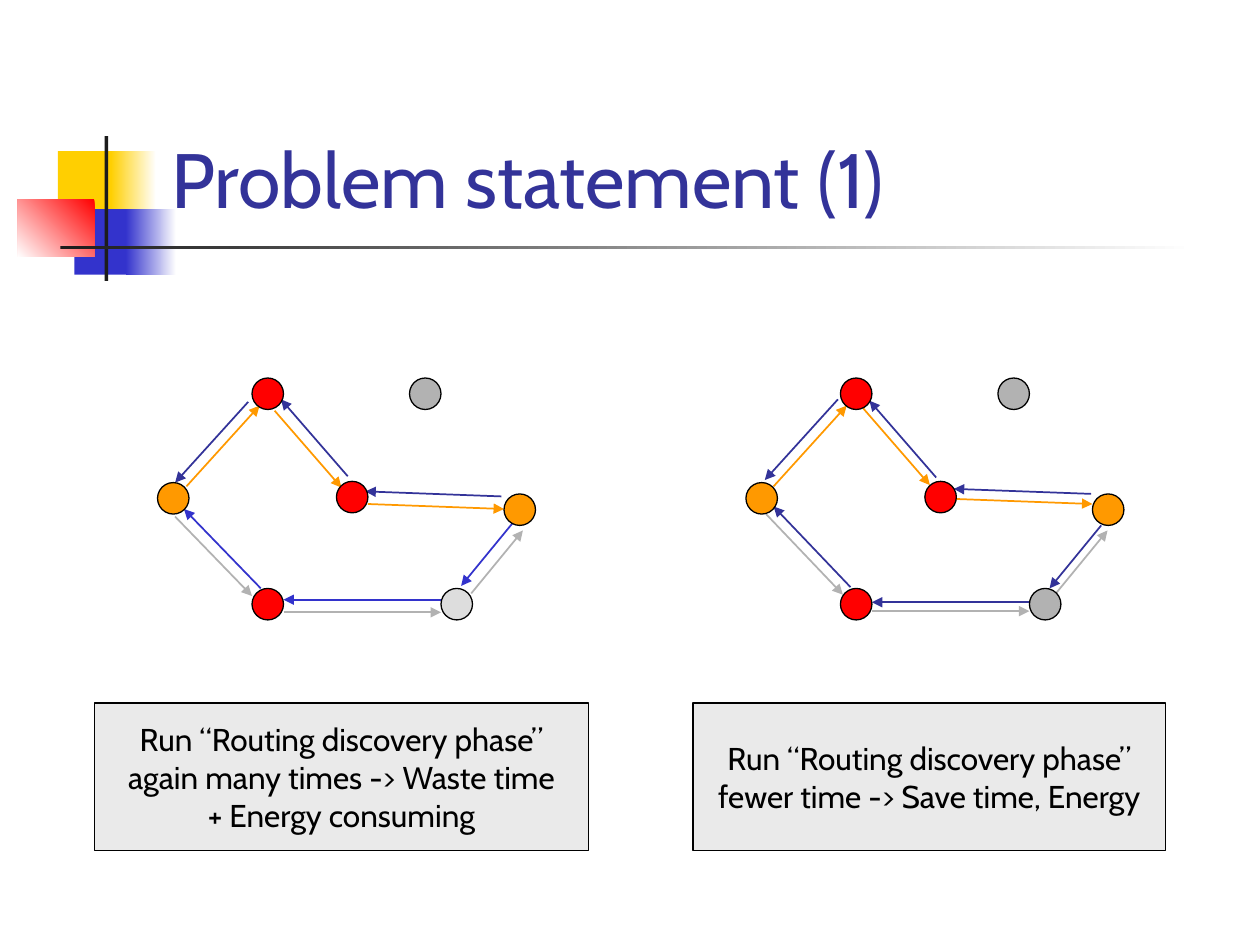
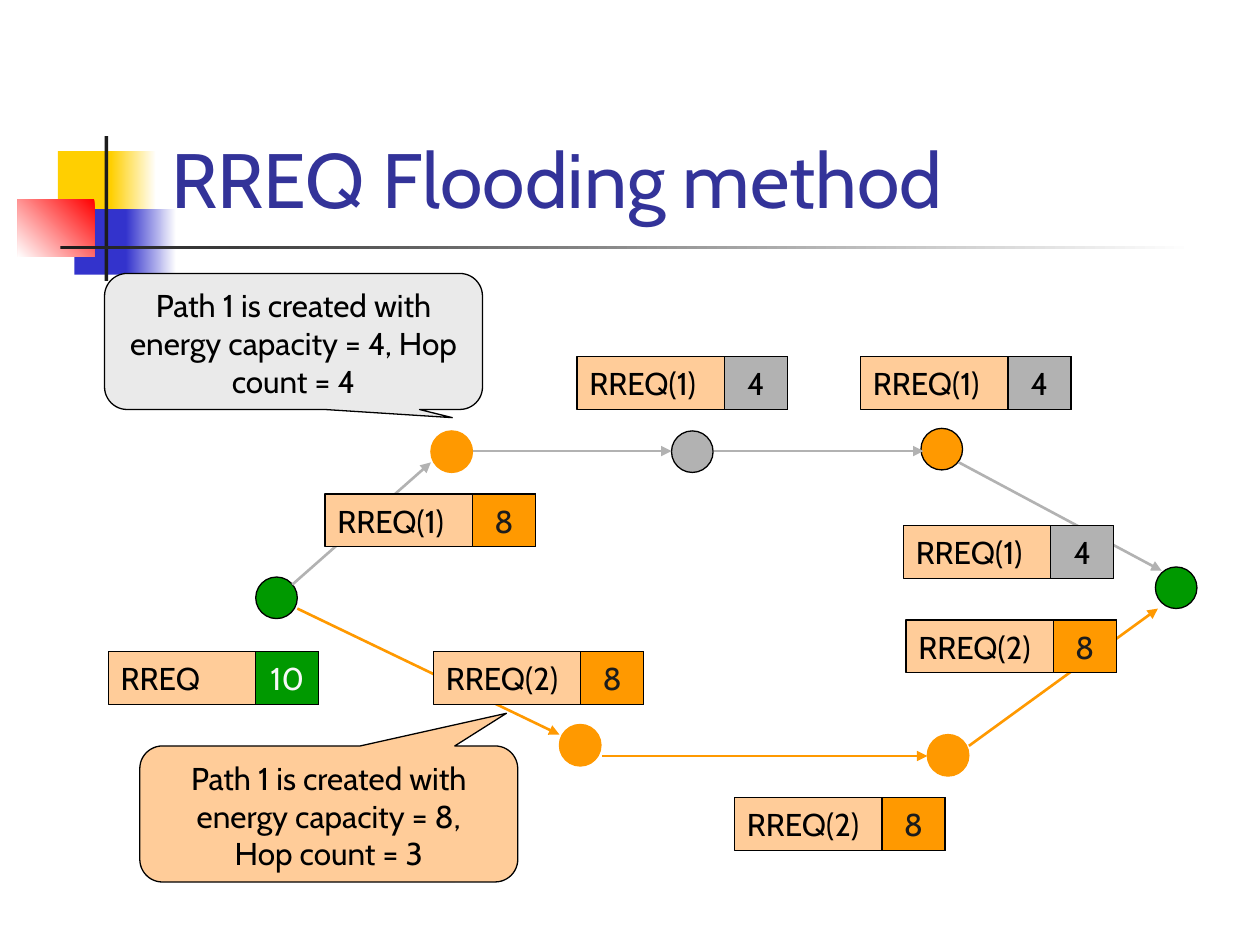
from dataclasses import dataclass

from lxml import etree
from pptx import Presentation
from pptx import util as u
from pptx.dml import color
from pptx.enum import shapes, text
from pptx.oxml import ns

EMU_PER_PX = 9144  # 100 px to the inch


@dataclass(frozen=True)
class Theme:
    font: str = "Cabin"
    title_size: int = 44
    body_size: int = 18
    outline_width: float = 0.75
    navy: str = "333399"
    blue: str = "3333CC"
    yellow: str = "FFCF01"
    red: str = "FF0000"
    orange: str = "FF9900"
    peach: str = "FFCC99"
    green: str = "009900"
    gray: str = "B2B2B2"
    silver: str = "DDDDDD"
    pale: str = "EAEAEA"
    ink: str = "1C1C1C"
    black: str = "000000"
    white: str = "FFFFFF"
    off_white: str = "F8F8F8"


THEME = Theme()
KIND = shapes.MSO_SHAPE
LEFT, CENTER = text.PP_ALIGN.LEFT, text.PP_ALIGN.CENTER
TOP, MIDDLE, BOTTOM = (text.MSO_ANCHOR.TOP, text.MSO_ANCHOR.MIDDLE,
                       text.MSO_ANCHOR.BOTTOM)

# Network of the problem statement: left, top, fill
NETWORK_NODES = [
    (325, 300, THEME.gray),
    (200, 467, THEME.red),
    (125, 383, THEME.orange),
    (200, 300, THEME.red),
    (267, 382, THEME.red),
    (400, 392, THEME.orange),
]
DETOUR_NODE = (350, 467)

# Request hop from x, y to x, y; offset of the parallel reply; request colour
REPEATED_HOPS = [
    (148, 386, 206, 322, -9, -3, THEME.orange),
    (218, 326, 271, 387, 5, -9, THEME.orange),
    (292, 400, 400, 404, -2, -10, THEME.orange),
    (139, 410, 200, 473, 7, -6, THEME.gray),
    (225, 486, 350, 486, 0, -10, THEME.gray),
    (374, 471, 415, 421, -8, -6, THEME.gray),
]
FEWER_HOPS = [
    (614, 386, 672, 322, -7, -5, THEME.orange),
    (685, 324, 738, 385, 5, -6, THEME.orange),
    (758, 396, 867, 400, -1, -8, THEME.orange),
    (608, 408, 669, 472, 6, -6, THEME.gray),
    (692, 485, 817, 485, 0, -7, THEME.gray),
    (838, 471, 879, 421, -5, -4, THEME.gray),
]

# Flooding: nodes are left, top, fill, outline
FLOODING_NODES = [
    (203, 458, THEME.green, THEME.black),
    (342, 342, THEME.orange, THEME.orange),
    (533, 342, THEME.gray, THEME.black),
    (731, 340, THEME.orange, THEME.black),
    (917, 450, THEME.green, THEME.black),
    (444, 575, THEME.orange, THEME.orange),
    (736, 583, THEME.orange, THEME.orange),
]
FLOODING_LINKS = {
    THEME.orange: [(236, 483, 444, 583), (478, 600, 736, 600),
                   (769, 592, 919, 483)],
    THEME.gray: [(232, 464, 342, 367), (375, 358, 533, 358),
                 (567, 358, 733, 358), (761, 367, 922, 453)],
}
REQUEST_TAGS = [
    (86, 517, "RREQ", "10"),
    (258, 392, "RREQ(1)", "8"),
    (458, 283, "RREQ(1)", "4"),
    (683, 283, "RREQ(1)", "4"),
    (717, 417, "RREQ(1)", "4"),
    (344, 517, "RREQ(2)", "8"),
    (583, 633, "RREQ(2)", "8"),
    (719, 492, "RREQ(2)", "8"),
]
ENERGY_COLOURS = {  # energy: cell fill, text colour
    "10": (THEME.green, THEME.off_white),
    "8": (THEME.orange, THEME.ink),
    "4": (THEME.gray, THEME.black),
}


def px(*lengths):
    return [u.Emu(length * EMU_PER_PX) for length in lengths]


def rgb(value):
    return color.RGBColor.from_string(value)


def add_block(slide, kind, box, fill, outline=None):
    shape = slide.shapes.add_shape(kind, *px(*box))
    shape.shadow.inherit = False
    shape.fill.solid()
    shape.fill.fore_color.rgb = rgb(fill)
    if outline:
        shape.line.color.rgb = rgb(outline)
        shape.line.width = u.Pt(THEME.outline_width)
    else:
        shape.line.fill.background()
    return shape


def add_fade(slide, box, colour, angle=0):
    """Rectangle that fades from the colour to white."""
    shape = add_block(slide, KIND.RECTANGLE, box, colour)
    shape.fill.gradient()
    shape.fill.gradient_angle = angle
    for stop, value in zip(shape.fill.gradient_stops, (colour, THEME.white)):
        stop.color.rgb = rgb(value)


def write(shape, words, size=THEME.body_size, colour=THEME.black,
          align=CENTER, anchor=MIDDLE):
    frame = shape.text_frame
    frame.text = words
    frame.word_wrap = True
    frame.vertical_anchor = anchor
    for paragraph in frame.paragraphs:
        paragraph.alignment = align
        for run in paragraph.runs:
            run.font.name = THEME.font
            run.font.size = u.Pt(size)
            run.font.color.rgb = rgb(colour)


def add_arrow(slide, ends, colour, width):
    connector = slide.shapes.add_connector(
        shapes.MSO_CONNECTOR.STRAIGHT, *px(*ends))
    connector.line.color.rgb = rgb(colour)
    connector.line.width = u.Pt(width)
    properties = connector.element.spPr
    line = properties.find(ns.qn("a:ln"))
    etree.SubElement(line, ns.qn("a:tailEnd"), type="triangle")
    etree.SubElement(properties, ns.qn("a:effectLst"))


def add_node(slide, left, top, diameter, fill, outline=THEME.black):
    add_block(slide, KIND.OVAL, (left, top, diameter, diameter), fill, outline)


def add_titled_slide(presentation, title):
    slide = presentation.slides.add_slide(presentation.slide_layouts[6])
    add_block(slide, KIND.RECTANGLE, (46, 120, 48, 52), THEME.yellow)
    add_fade(slide, (88, 120, 36, 52), THEME.yellow)
    add_block(slide, KIND.RECTANGLE, (59, 166, 46, 52), THEME.blue)
    add_fade(slide, (100, 166, 40, 52), THEME.blue)
    add_fade(slide, (14, 158, 61, 46), THEME.red, angle=225)
    add_block(slide, KIND.RECTANGLE, (83, 108, 3, 115), THEME.ink)
    add_fade(slide, (48, 195, 900, 3), THEME.ink)
    box = slide.shapes.add_textbox(*px(126, 23, 852, 160))
    write(box, title, THEME.title_size, THEME.navy, LEFT, BOTTOM)
    return slide


def add_network(slide, shift, hops, detour_fill, detour_reply):
    for x1, y1, x2, y2, dx, dy, request in hops:
        reply = THEME.navy if request == THEME.orange else detour_reply
        add_arrow(slide, (x1, y1, x2, y2), request, 1)
        add_arrow(slide, (x2 + dx, y2 + dy, x1 + dx, y1 + dy), reply, 1)
    for left, top, fill in NETWORK_NODES + [(*DETOUR_NODE, detour_fill)]:
        add_node(slide, left + shift, top, 25, fill)


def add_summary(slide, left, width, words):
    box = (left, 558, width, 117)
    write(add_block(slide, KIND.RECTANGLE, box, THEME.pale, THEME.black), words)


def add_callout(slide, left, top, fill, tip, words):
    shape = add_block(slide, KIND.ROUNDED_RECTANGULAR_CALLOUT,
                      (left, top, 300, 108), fill, THEME.black)
    shape.adjustments[0], shape.adjustments[1] = tip
    write(shape, words, anchor=TOP)


def add_request_tag(slide, left, top, name, energy):
    fill, colour = ENERGY_COLOURS[energy]
    label = add_block(slide, KIND.RECTANGLE, (left, top, 167, 42),
                      THEME.peach, THEME.black)
    write(label, name, align=LEFT)
    cell = add_block(slide, KIND.RECTANGLE, (left + 117, top, 50, 42),
                     fill, THEME.black)
    write(cell, energy, colour=colour)


def build_problem_statement(presentation):
    slide = add_titled_slide(presentation, "Problem statement (1)")
    add_network(slide, 0, REPEATED_HOPS, THEME.silver, THEME.blue)
    add_network(slide, 467, FEWER_HOPS, THEME.gray, THEME.navy)
    add_summary(slide, 75, 392, "Run “Routing discovery phase”\n"
                "again many times -> Waste time\n+ Energy consuming")
    add_summary(slide, 550, 375, "Run “Routing discovery phase”\n"
                "fewer time -> Save time, Energy")


def build_flooding_method(presentation):
    slide = add_titled_slide(presentation, "RREQ Flooding method")
    for left, top, fill, outline in FLOODING_NODES:
        add_node(slide, left, top, 33, fill, outline)
    for colour, links in FLOODING_LINKS.items():
        for ends in links:
            add_arrow(slide, ends, colour, 1.5)
    add_callout(slide, 83, 217, THEME.pale, (0.42, 0.56),
                "Path 1 is created with energy capacity = 4, Hop count = 4")
    add_callout(slide, 111, 592, THEME.peach, (0.47, -0.74),
                "Path 1 is created with energy capacity = 8,\nHop count = 3")
    for tag in REQUEST_TAGS:
        add_request_tag(slide, *tag)


def main():
    presentation = Presentation()
    presentation.slide_width, presentation.slide_height = px(1000, 750)
    build_problem_statement(presentation)
    build_flooding_method(presentation)
    presentation.save("out.pptx")


if __name__ == "__main__":
    main()
